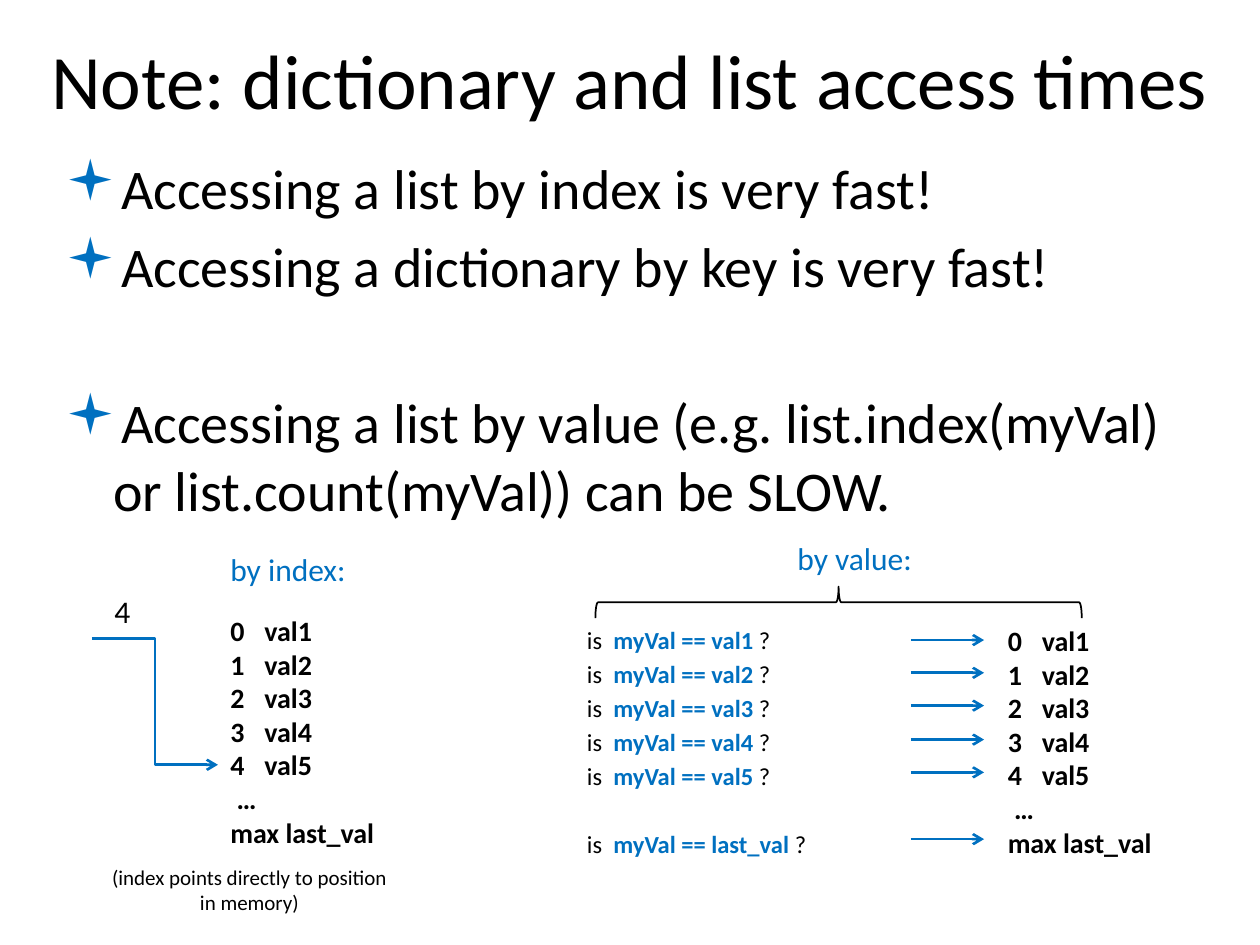
"""Build a slide comparing list access by index and by value."""
import pptx
import pptx.util
import pptx.dml.color
import pptx.enum.shapes
import pptx.enum.text
import pptx.oxml
import pptx.oxml.ns
import lxml.etree

PX = 9144
BLACK = "000000"
BLUE = "0070C0"
CONNECTOR = pptx.enum.shapes.MSO_CONNECTOR


def write(paragraph, pieces, size, tab=0):
    for text, color, bold in pieces:
        span = paragraph.add_run()
        span.text = text
        span.font.name = "Calibri"
        span.font.size = pptx.util.Pt(size)
        span.font.bold = bold
        span.font.color.rgb = pptx.dml.color.RGBColor.from_string(color)
    if tab:
        tabs = lxml.etree.SubElement(paragraph._p.get_or_add_pPr(), pptx.oxml.ns.qn("a:tabLst"))
        lxml.etree.SubElement(tabs, pptx.oxml.ns.qn("a:tab"), pos=str(tab * PX), algn="l")


def arrow(kind, *ends):
    line = slide.shapes.add_connector(kind, *[end * PX for end in ends])
    line.line.color.rgb = pptx.dml.color.RGBColor.from_string(BLUE)
    line.line.width = pptx.util.Pt(1.5)
    outline = line.line._get_or_add_ln()
    lxml.etree.SubElement(outline, pptx.oxml.ns.qn("a:tailEnd"), type="arrow")
    lxml.etree.SubElement(line._element.spPr, pptx.oxml.ns.qn("a:effectLst"))


deck = pptx.Presentation()
deck.slide_width = 1000 * PX
deck.slide_height = 750 * PX
slide = deck.slides.add_slide(deck.slide_layouts[5])

title = slide.shapes.title
title.left, title.top, title.width, title.height = 0, 0, 1000 * PX, 125 * PX
title.text_frame.auto_size = pptx.enum.text.MSO_AUTO_SIZE.NONE
title.text_frame.vertical_anchor = pptx.enum.text.MSO_ANCHOR.MIDDLE
title_para = title.text_frame.paragraphs[0]
title_para.alignment = pptx.enum.text.PP_ALIGN.CENTER
write(title_para, [("Note: dictionary and list access times", BLACK, False)], 44)

points = [
    ("Accessing a list by index is very fast!", 0),
    ("Accessing a dictionary by key is very fast!", 0),
    ("Accessing a list by value (e.g. list.index(myVal) or list.count(myVal)) can be SLOW.", 45),
]
body = slide.shapes.add_textbox(42 * PX, 117 * PX, 917 * PX, 262 * PX).text_frame
body.word_wrap = True
for number, (text, gap) in enumerate(points):
    para = body.add_paragraph() if number else body.paragraphs[0]
    para.space_before = pptx.util.Pt(gap)
    para.space_after = pptx.util.Pt(6)
    write(para, [(text, BLACK, False)], 32)
    properties = para._p.get_or_add_pPr()
    properties.set("marL", str(38 * PX))
    properties.set("indent", str(-38 * PX))
    for bullet in (
        f'<a:buClr {pptx.oxml.ns.nsdecls("a")}><a:srgbClr val="{BLUE}"/></a:buClr>',
        f'<a:buFont {pptx.oxml.ns.nsdecls("a")} typeface="Wingdings"/>',
        f'<a:buChar {pptx.oxml.ns.nsdecls("a")} char="▪"/>',
    ):
        properties.append(pptx.oxml.parse_xml(bullet))

labels = [
    ("by value:", 623, 423, 112, BLUE),
    ("by index:", 173, 432, 113, BLUE),
    ("4", 81, 465, 34, BLACK),
]
for text, left, top, width, color in labels:
    box = slide.shapes.add_textbox(left * PX, top * PX, width * PX, 40 * PX)
    write(box.text_frame.paragraphs[0], [(text, color, False)], 18)

entries = [f"{index}\tval{index + 1}" for index in range(5)] + ["…", "max last_val"]
for left, top in [(173, 482), (790, 490)]:
    box = slide.shapes.add_textbox(left * PX, top * PX, 136 * PX, 199 * PX)
    for number, entry in enumerate(entries):
        para = box.text_frame.add_paragraph() if number else box.text_frame.paragraphs[0]
        write(para, [(entry, BLACK, True)], 16, tab=27)
        if entry == "…":
            para._p.get_or_add_pPr().set("marL", str(5 * PX))

for row, value in [(0, "val1"), (1, "val2"), (2, "val3"), (3, "val4"), (4, "val5"), (6, "last_val")]:
    box = slide.shapes.add_textbox(456 * PX, (491 + 27 * row) * PX, 195 * PX, 34 * PX)
    question = [("is\t", BLACK, False), (f"myVal == {value} ", BLUE, True), ("?", BLACK, False)]
    write(box.text_frame.paragraphs[0], question, 14, tab=21)
    height = 508 + 264 * row // 10
    arrow(CONNECTOR.STRAIGHT, 723, height, 781, height)

arrow(CONNECTOR.ELBOW, 73, 507, 173, 607)

brace = slide.shapes.add_shape(
    pptx.enum.shapes.MSO_SHAPE.LEFT_BRACE, 653 * PX, 285 * PX, 25 * PX, 386 * PX)
brace.rotation = 90
brace.shadow.inherit = False
brace.fill.background()
brace.line.color.rgb = pptx.dml.color.RGBColor.from_string(BLACK)
brace.line.width = pptx.util.Pt(1)

note = slide.shapes.add_textbox(73 * PX, 681 * PX, 250 * PX, 50 * PX).text_frame
note.word_wrap = True
note.paragraphs[0].alignment = pptx.enum.text.PP_ALIGN.CENTER
write(note.paragraphs[0], [("(index points directly to position in memory)", BLACK, False)], 12)

deck.save("out.pptx")
